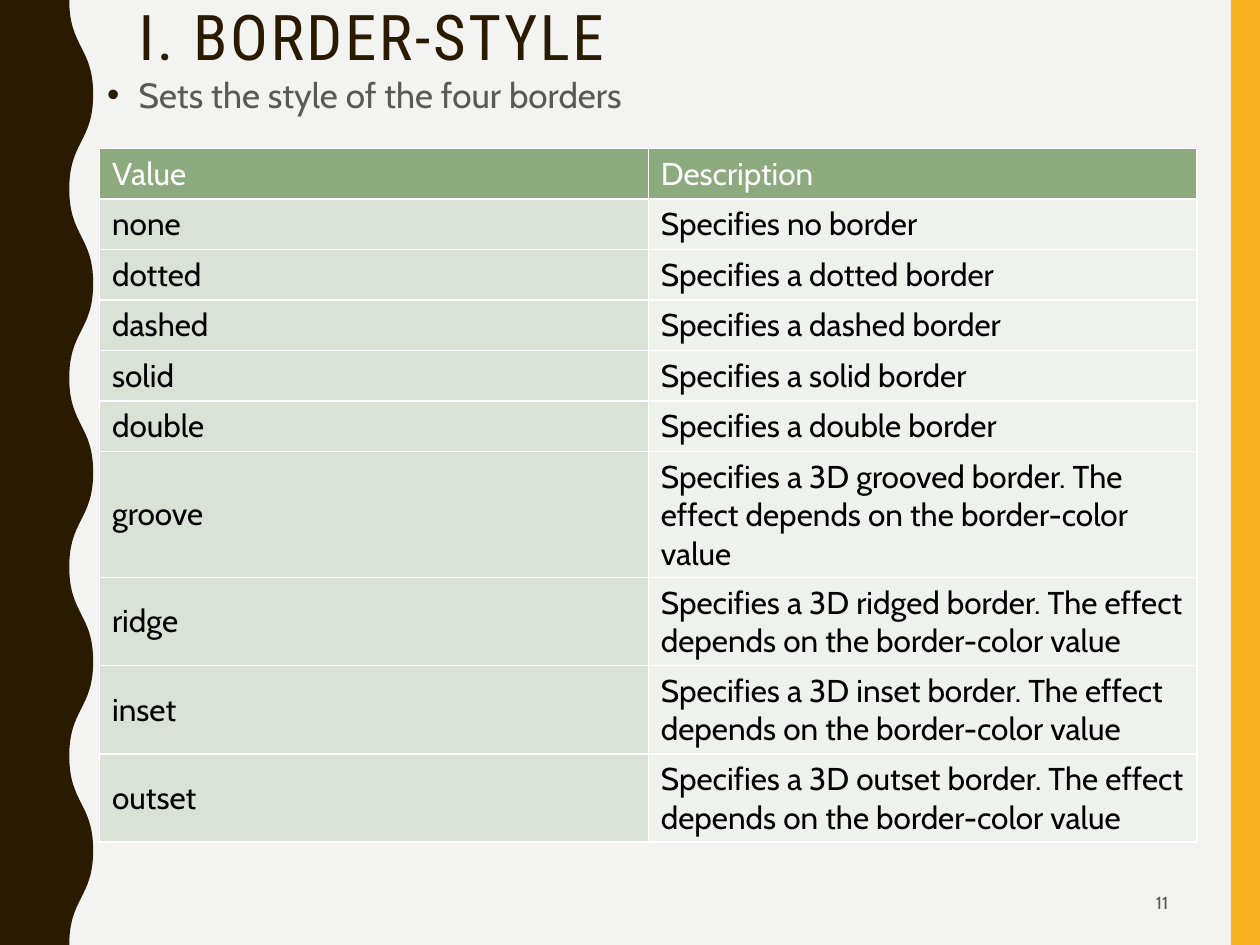
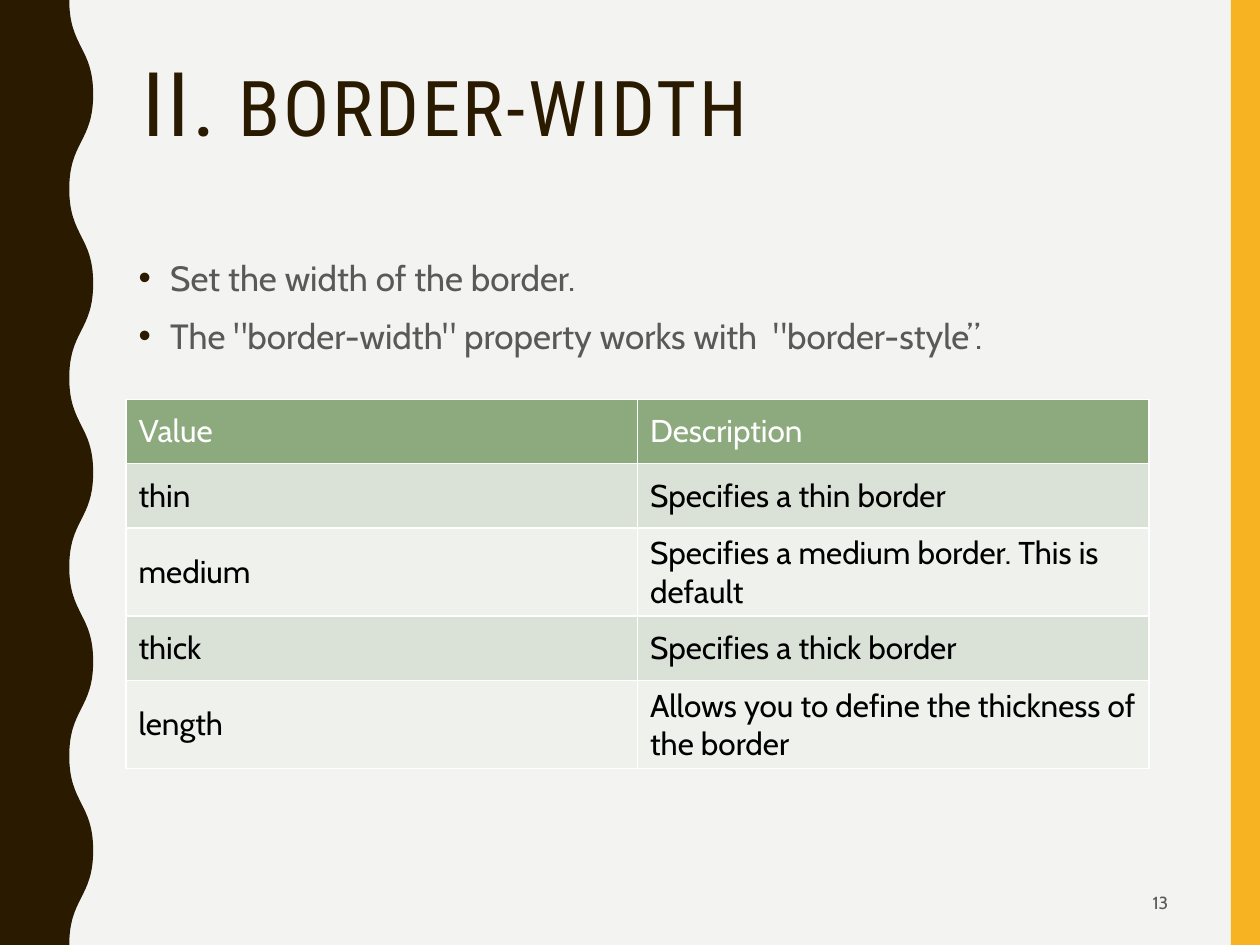
from lxml import etree
from pptx import Presentation
from pptx import util as u
from pptx.dml.color import RGBColor
from pptx.enum import shapes, text
from pptx.oxml.ns import qn

Inches, Pt = u.Inches, u.Pt
COLORS = {
    "paper": "F3F3F2", "brown": "2A1A00", "amber": "F8B323", "gray": "595959",
    "header": "8CAA7E", "dark_band": "DAE2D8", "light_band": "EEF1EC",
    "white": "FFFFFF", "black": "000000",
}
TITLE_FONT, BODY_FONT = "Roboto Condensed", "Cabin"
WIDTH, HEIGHT = 10, 7.5
TROUGH, CREST, HALF_WAVE = 0.55, 0.74, 0.75

STYLES = [
    ("none", "Specifies no border"),
    ("dotted", "Specifies a dotted border"),
    ("dashed", "Specifies a dashed border"),
    ("solid", "Specifies a solid border"),
    ("double", "Specifies a double border"),
] + [
    (value, f"Specifies a 3D {look} border. The effect depends on the border-color value")
    for value, look in [("groove", "grooved"), ("ridge", "ridged"),
                        ("inset", "inset"), ("outset", "outset")]
]
WIDTHS = [
    ("thin", "Specifies a thin border"),
    ("medium", "Specifies a medium border. This is default"),
    ("thick", "Specifies a thick border"),
    ("length", "Allows you to define the thickness of the border"),
]


def rgb(name):
    return RGBColor.from_string(COLORS[name])


def style_font(font, name, size, color):
    font.name, font.size, font.bold = name, Pt(size), False
    font.color.rgb = rgb(color)


def paint(band, color):
    band.shadow.inherit = False
    band.fill.solid()
    band.fill.fore_color.rgb = rgb(color)
    band.line.fill.background()


def place(frame, box):
    frame.left, frame.top, frame.width, frame.height = map(Inches, box)


def bend(segment, start, end):
    middle = (start[1] + end[1]) / 2
    curve = etree.Element(qn("a:cubicBezTo"))
    for x, y in ((start[0], middle), (end[0], middle), end):
        etree.SubElement(curve, qn("a:pt"), x=str(Inches(x)), y=str(Inches(y)))
    segment.getparent().replace(segment, curve)


def add_wave(slide):
    count = round(HEIGHT / HALF_WAVE)
    edge = [(CREST if i % 2 else TROUGH, i * HALF_WAVE) for i in range(count + 1)]
    outline = slide.shapes.build_freeform(Inches(TROUGH), 0)
    corners = [*edge[1:], (0, HEIGHT), (0, 0)]
    outline.add_line_segments([(Inches(x), Inches(y)) for x, y in corners], close=True)
    wave = outline.convert_to_shape()
    segments = list(wave.element.iter(qn("a:lnTo")))[:count]
    for segment, start, end in zip(segments, edge, edge[1:]):
        bend(segment, start, end)
    return wave


def decorate(layout, slide):
    stripe = slide.shapes.add_shape(
        shapes.MSO_SHAPE.RECTANGLE, Inches(9.77), 0, Inches(0.23), Inches(HEIGHT))
    paint(stripe, "amber")
    wave = add_wave(slide)
    paint(wave, "brown")
    for band in (wave, stripe):
        layout.shapes.element.insert(2, band.element)


def add_title(slide, box, parts):
    title = slide.shapes.title
    place(title, box)
    frame = title.text_frame
    frame.auto_size = text.MSO_AUTO_SIZE.NONE
    frame.vertical_anchor = text.MSO_ANCHOR.TOP
    heading = frame.paragraphs[0]
    heading.alignment = text.PP_ALIGN.LEFT
    heading.line_spacing = 0.9
    for words, size in parts:
        run = heading.add_run()
        run.text = words
        style_font(run.font, TITLE_FONT, size, "brown")
        run.font._element.set("spc", "150")


def add_bullet(paragraph):
    props = paragraph._p.get_or_add_pPr()
    props.set("marL", str(Inches(0.25)))
    props.set("indent", str(-Inches(0.25)))
    tint = etree.SubElement(props, qn("a:buClr"))
    etree.SubElement(tint, qn("a:srgbClr"), val=COLORS["brown"])
    etree.SubElement(props, qn("a:buFont"), typeface="Arial")
    etree.SubElement(props, qn("a:buChar"), char="•")


def add_points(slide, box, points):
    body = slide.placeholders[1]
    place(body, box)
    frame = body.text_frame
    frame.text = "\n".join(points)
    frame.auto_size = text.MSO_AUTO_SIZE.NONE
    frame.vertical_anchor = text.MSO_ANCHOR.TOP
    for point in frame.paragraphs:
        add_bullet(point)
        point.line_spacing, point.space_before = 1.1, Pt(7)
        style_font(point.font, BODY_FONT, 20, "gray")


def add_page_number(slide, number):
    footer = slide.shapes.add_textbox(
        Inches(7.06), Inches(6.97), Inches(2.31), Inches(0.38))
    frame = footer.text_frame
    frame.word_wrap = True
    frame.vertical_anchor = text.MSO_ANCHOR.MIDDLE
    page = frame.paragraphs[0]
    page.text = str(number)
    page.alignment = text.PP_ALIGN.RIGHT
    style_font(page.font, BODY_FONT, 10, "gray")


def by_column(row, column):
    return "light_band" if column else "dark_band"


def by_row(row, column):
    return "dark_band" if row % 2 else "light_band"


def add_value_table(slide, box, entries, row_heights, banding):
    rows = [("Value", "Description"), *entries]
    table = slide.shapes.add_table(len(rows), 2, *map(Inches, box)).table
    for row, (words, height) in enumerate(zip(rows, row_heights)):
        table.rows[row].height = Inches(height)
        for column, word in enumerate(words):
            cell = table.cell(row, column)
            cell.vertical_anchor = text.MSO_ANCHOR.MIDDLE
            cell.fill.solid()
            cell.fill.fore_color.rgb = rgb(banding(row, column) if row else "header")
            label = cell.text_frame.paragraphs[0]
            label.text = word
            style_font(label.font, BODY_FONT, 18, "black" if row else "white")


def main():
    deck = Presentation()
    deck.slide_width, deck.slide_height = Inches(WIDTH), Inches(HEIGHT)
    layout = deck.slide_layouts[1]
    background = deck.slide_master.background.fill
    background.solid()
    background.fore_color.rgb = rgb("paper")

    style_slide = deck.slides.add_slide(layout)
    decorate(layout, style_slide)
    add_title(style_slide, (1, 0, 8.5, 0.67), [("I. BORDER-STYLE", 36)])
    add_points(style_slide, (0.75, 0.5, 8.5, 0.58), ["Sets the style of the four borders"])
    add_page_number(style_slide, 11)
    add_value_table(style_slide, (0.79, 1.18, 8.71, 5.32), STYLES,
                    [0.39] * 6 + [0.97] + [0.68] * 3, by_column)

    width_slide = deck.slides.add_slide(layout)
    add_title(width_slide, (1.03, 0.42, 8.35, 1.63), [("II.", 51), (" BORDER-WIDTH", 44)])
    add_points(width_slide, (1, 1.95, 8.5, 1.88), [
        "Set the width of the border.",
        'The "border-width" property works with  "border-style”.',
    ])
    add_page_number(width_slide, 13)
    add_value_table(width_slide, (1, 3.17, 8.12, 2.75), WIDTHS,
                    [0.51] * 4 + [0.7], by_row)

    deck.save("out.pptx")


main()
